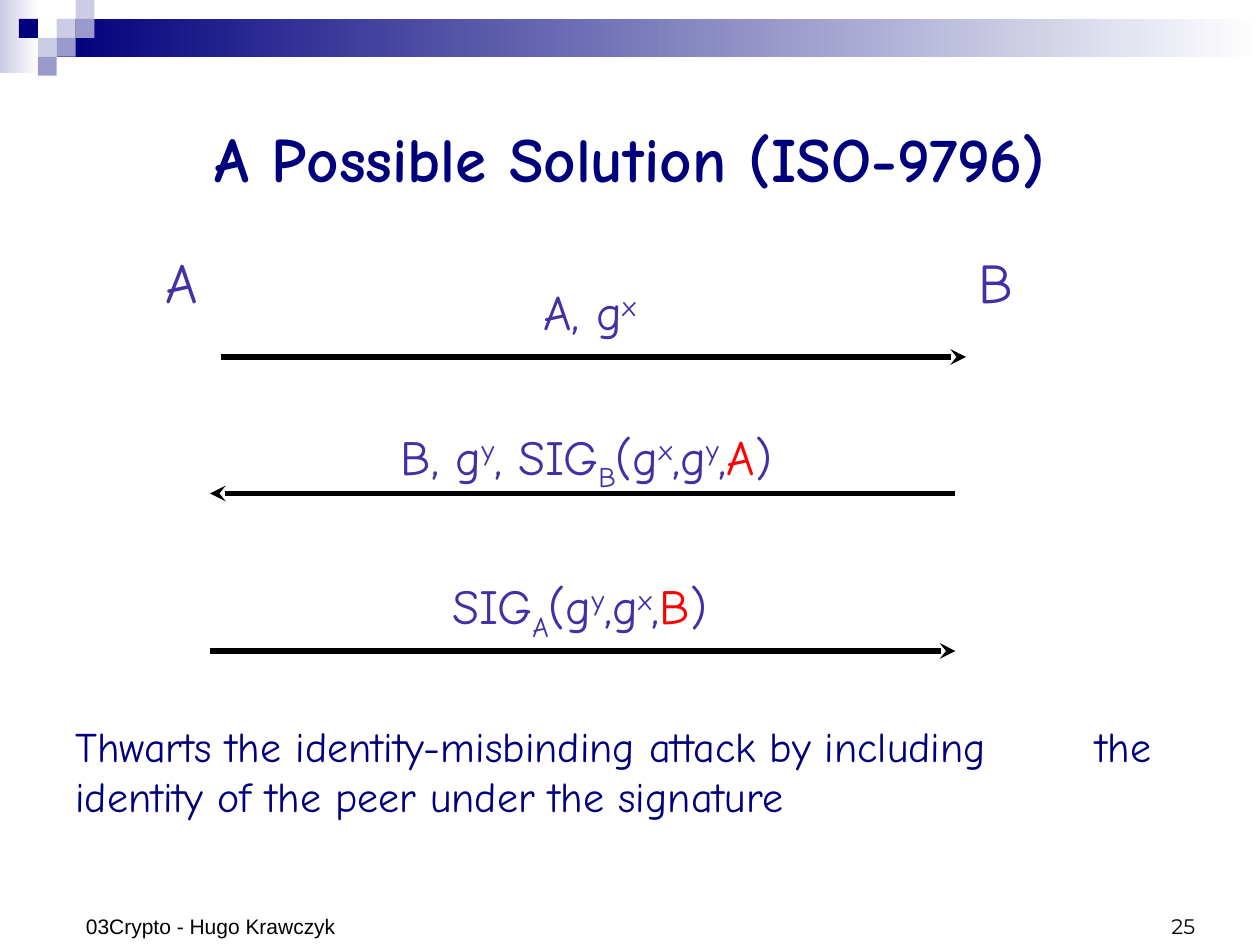
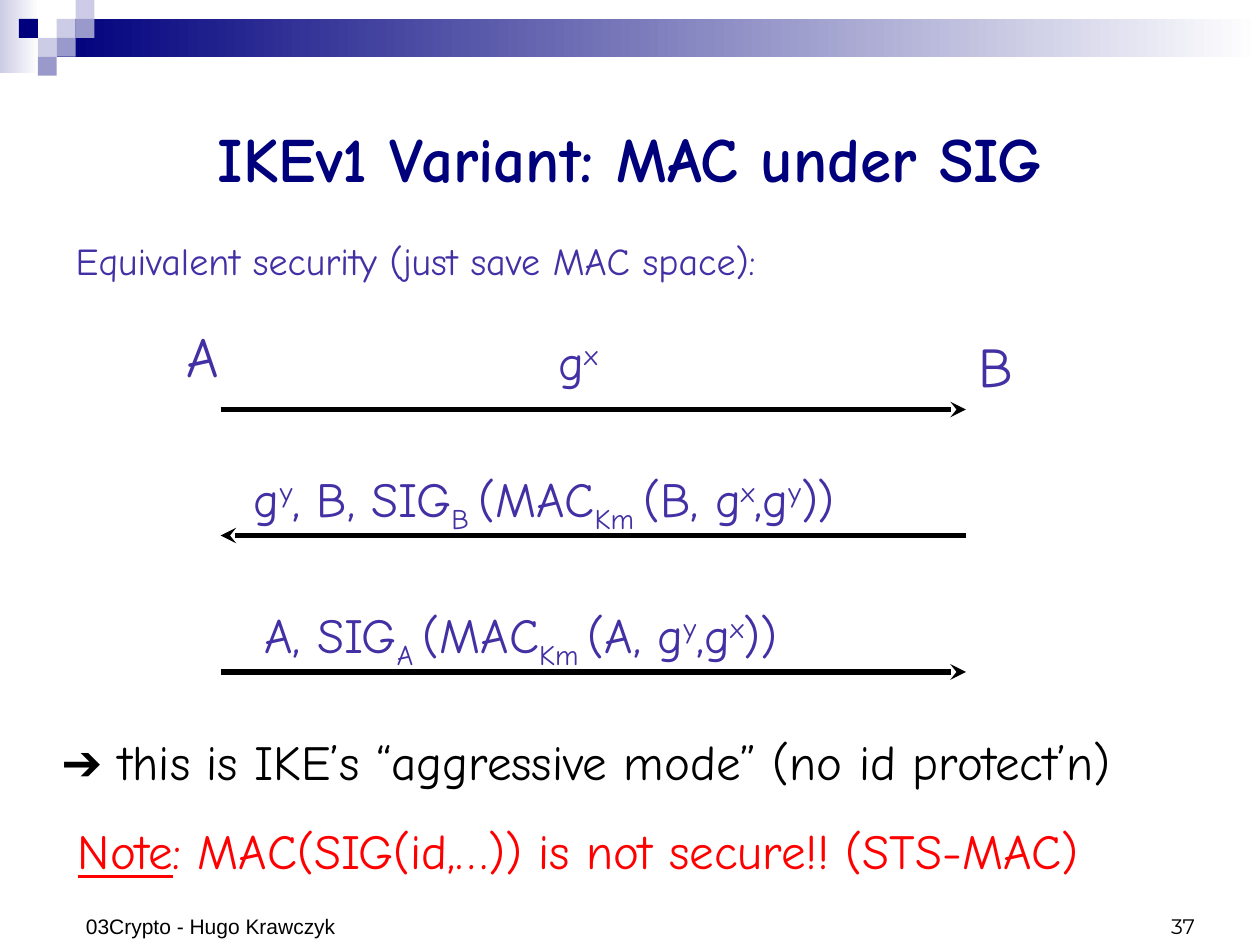
import pptx
import pptx.dml.color
import pptx.enum.dml
import pptx.enum.shapes
import pptx.enum.text
import pptx.oxml
import pptx.oxml.ns
import pptx.util

Pt = pptx.util.Pt
ALIGN = pptx.enum.text.PP_ALIGN
ANCHOR = pptx.enum.text.MSO_ANCHOR

COLORS = {
    "navy": "00007D",
    "violet": "4330A4",
    "lavender": "CCCCE6",
    "periwinkle": "9999CC",
    "red": "FF0000",
    "black": "000000",
    "white": "FFFFFF",
}

HAND = "Comic Neue"
TITLE = {"name": HAND, "size": Pt(36), "bold": True, "color": "navy"}
LEAD = {"name": HAND, "size": Pt(21.7), "color": "violet"}
PARTY = {"name": HAND, "size": Pt(32), "color": "violet"}
MESSAGE = {"name": HAND, "size": Pt(28), "color": "violet"}
REMARK = {"name": HAND, "size": Pt(24), "color": "navy"}
FOOTER = {"name": "Arial", "size": Pt(12), "color": "black"}
NUMBER = {**FOOTER, "name": "Montserrat"}

MARKS = {
    "^": {"baseline": 30000},
    "_": {"baseline": -25000},
    "!": {"color": "red"},
    "~": {"underline": True},
    "@": {"name": "Arial"},
}

SQUARE = 10.8
SQUARES = [
    (3, 1, "lavender"),
    (4, 0, "lavender"),
    (4, 1, "periwinkle"),
    (2, 2, "lavender"),
    (1, 1, "navy"),
    (3, 2, "periwinkle"),
    (2, 3, "periwinkle"),
]


def rgb(name):
    return pptx.dml.color.RGBColor.from_string(COLORS[name])


def set_attributes(target, values):
    for name, value in values.items():
        setattr(target, name, value)


def place(shape, box):
    names = ("left", "top", "width", "height")
    set_attributes(shape, dict(zip(names, map(Pt, box))))


def write_runs(paragraph, markup, style):
    """Parts are split by |, and a leading mark changes the style of its part."""
    for part in markup.split("|"):
        mark = MARKS.get(part[0], {})
        values = {**style, **mark}
        color = values.pop("color")
        baseline = values.pop("baseline", None)
        run = paragraph.add_run()
        run.text = part[1:] if mark else part
        set_attributes(run.font, values)
        run.font.color.rgb = rgb(color)
        if baseline:
            run._r.get_or_add_rPr().set("baseline", str(baseline))


def set_indent(paragraph, left, first=0):
    properties = paragraph._p.get_or_add_pPr()
    properties.set("marL", str(Pt(left)))
    properties.set("indent", str(Pt(first)))


def add_tab_stop(paragraph, position):
    properties = paragraph._p.get_or_add_pPr()
    tabs = pptx.oxml.parse_xml(
        f'<a:tabLst {pptx.oxml.ns.nsdecls("a")}>'
        f'<a:tab pos="{Pt(position)}" algn="l"/></a:tabLst>'
    )
    properties.append(tabs)


def add_text(slide, box, markup, style, align=ALIGN.LEFT, anchor=ANCHOR.TOP):
    shape = slide.shapes.add_textbox(*map(Pt, box))
    set_attributes(shape.text_frame, {"word_wrap": True, "vertical_anchor": anchor})
    paragraph = shape.text_frame.paragraphs[0]
    paragraph.alignment = align
    write_runs(paragraph, markup, style)
    return shape.text_frame


def fill_placeholder(shape, box, text, style, align, anchor):
    place(shape, box)
    set_attributes(shape.text_frame, {
        "word_wrap": True,
        "auto_size": pptx.enum.text.MSO_AUTO_SIZE.NONE,
        "vertical_anchor": anchor,
    })
    paragraph = shape.text_frame.paragraphs[0]
    paragraph.alignment = align
    write_runs(paragraph, text, style)
    return paragraph


def add_rectangle(slide, box, color, fading=False):
    shape = slide.shapes.add_shape(
        pptx.enum.shapes.MSO_SHAPE.RECTANGLE, *map(Pt, box)
    )
    shape.shadow.inherit = False
    shape.line.fill.background()
    if fading:
        shape.fill.gradient()
        shape.fill.gradient_angle = 0
        for stop, name in zip(shape.fill.gradient_stops, (color, "white")):
            stop.color.rgb = rgb(name)
    else:
        shape.fill.solid()
        shape.fill.fore_color.rgb = rgb(color)


def add_arrow(slide, start, end, y):
    arrow = slide.shapes.add_connector(
        pptx.enum.shapes.MSO_CONNECTOR.STRAIGHT, Pt(start), Pt(y), Pt(end), Pt(y)
    )
    arrow.line.width = Pt(3)
    arrow.line.color.rgb = rgb("black")
    namespace = pptx.oxml.ns.nsdecls("a")
    arrow.line._get_or_add_ln().append(
        pptx.oxml.parse_xml(f'<a:tailEnd {namespace} type="stealth"/>')
    )
    arrow._element.spPr.append(pptx.oxml.parse_xml(f"<a:effectLst {namespace}/>"))


def add_band(slide):
    add_rectangle(slide, (0, 0, 22.3, 41.8), "lavender", fading=True)
    add_rectangle(slide, (32.4, 10.8, 687.6, 21.6), "navy", fading=True)
    for column, row, color in SQUARES:
        box = (column * SQUARE, row * SQUARE, SQUARE, SQUARE)
        add_rectangle(slide, box, color)


def add_protocol_slide(presentation, layout, title, number):
    slide = presentation.slides.add_slide(presentation.slide_layouts[layout])
    add_band(slide)
    fill_placeholder(slide.shapes.title, (36, 36, 648, 108), title, TITLE,
                     ALIGN.CENTER, ANCHOR.MIDDLE)
    add_text(slide, (522, 504, 168, 36), number, NUMBER, ALIGN.RIGHT, ANCHOR.BOTTOM)
    add_text(slide, (42, 502.5, 190, 37.5), "03Crypto - Hugo Krawczyk", FOOTER,
             anchor=ANCHOR.BOTTOM)
    return slide


def add_exchange(slide, parties, messages, arrows):
    for name, box, align in parties:
        add_text(slide, box, name, PARTY, align)
    for left, top, width, markup in messages:
        add_text(slide, (left, top, width, 45), markup, MESSAGE)
    for arrow in arrows:
        add_arrow(slide, *arrow)


def build_solution(presentation):
    slide = add_protocol_slide(presentation, 5, "A Possible Solution (ISO-9796)", "25")
    add_exchange(
        slide,
        [("A", (66, 138, 54, 46), ALIGN.RIGHT),
         ("B", (552, 138, 30, 46), ALIGN.RIGHT)],
        [(303.5, 157.5, 98, "A, g|^x"),
         (222, 240, 282, "B, g|^y|, SIG|_B|(g|^x|,g|^y|,|!A|)"),
         (251.5, 325.5, 240, "SIG|_A|(g|^y|,g|^x|,|!B|)")],
        [(126, 552, 204), (546, 120, 282), (120, 546, 372)],
    )
    remark = add_text(
        slide, (36, 408, 684, 65),
        "Thwarts the identity-misbinding attack by including\tthe "
        "identity of the peer under the signature", REMARK)
    add_tab_stop(remark.paragraphs[0], 583)


def build_variant(presentation):
    slide = add_protocol_slide(presentation, 1, "IKEv1 Variant: MAC under SIG", "37")
    lead = fill_placeholder(
        slide.placeholders[1], (36, 132, 648, 36),
        "Equivalent security (just save MAC space):", LEAD, ALIGN.LEFT, ANCHOR.TOP)
    set_attributes(lead, {"space_before": Pt(7), "space_after": Pt(8.8)})
    set_indent(lead, 27, -27)
    lead._p.get_or_add_pPr().append(
        pptx.oxml.parse_xml(f'<a:buNone {pptx.oxml.ns.nsdecls("a")}/>'))
    add_exchange(
        slide,
        [("A", (78, 180, 54, 46), ALIGN.RIGHT),
         ("B", (552, 186, 30, 46), ALIGN.LEFT)],
        [(312, 186, 168, "g|^x"),
         (138, 264, 438, "g|^y|, B, SIG|_B |(MAC|_Km |(B, g|^x|,g|^y|))"),
         (144, 342, 438, "A, SIG|_A |(MAC|_Km |(A, g|^y|,g|^x|))")],
        [(126, 552, 234), (552, 126, 306), (126, 552, 384)],
    )
    notes = add_text(
        slide, (0, 414.5, 720, 92),
        "@➔| this is IKE’s “aggressive mode” (no id protect’n)",
        {**MESSAGE, "color": "black"})
    set_indent(notes.paragraphs[0], 28)
    warning = notes.add_paragraph()
    warning.space_before = Pt(17.5)
    set_indent(warning, 37.5)
    write_runs(warning, "~Note|: MAC(SIG(id,…)) is not secure!! (STS-MAC)",
               {**MESSAGE, "color": "red"})


def main():
    presentation = pptx.Presentation()
    set_attributes(presentation, {"slide_width": Pt(720), "slide_height": Pt(540)})
    build_solution(presentation)
    build_variant(presentation)
    presentation.save("out.pptx")


if __name__ == "__main__":
    main()
